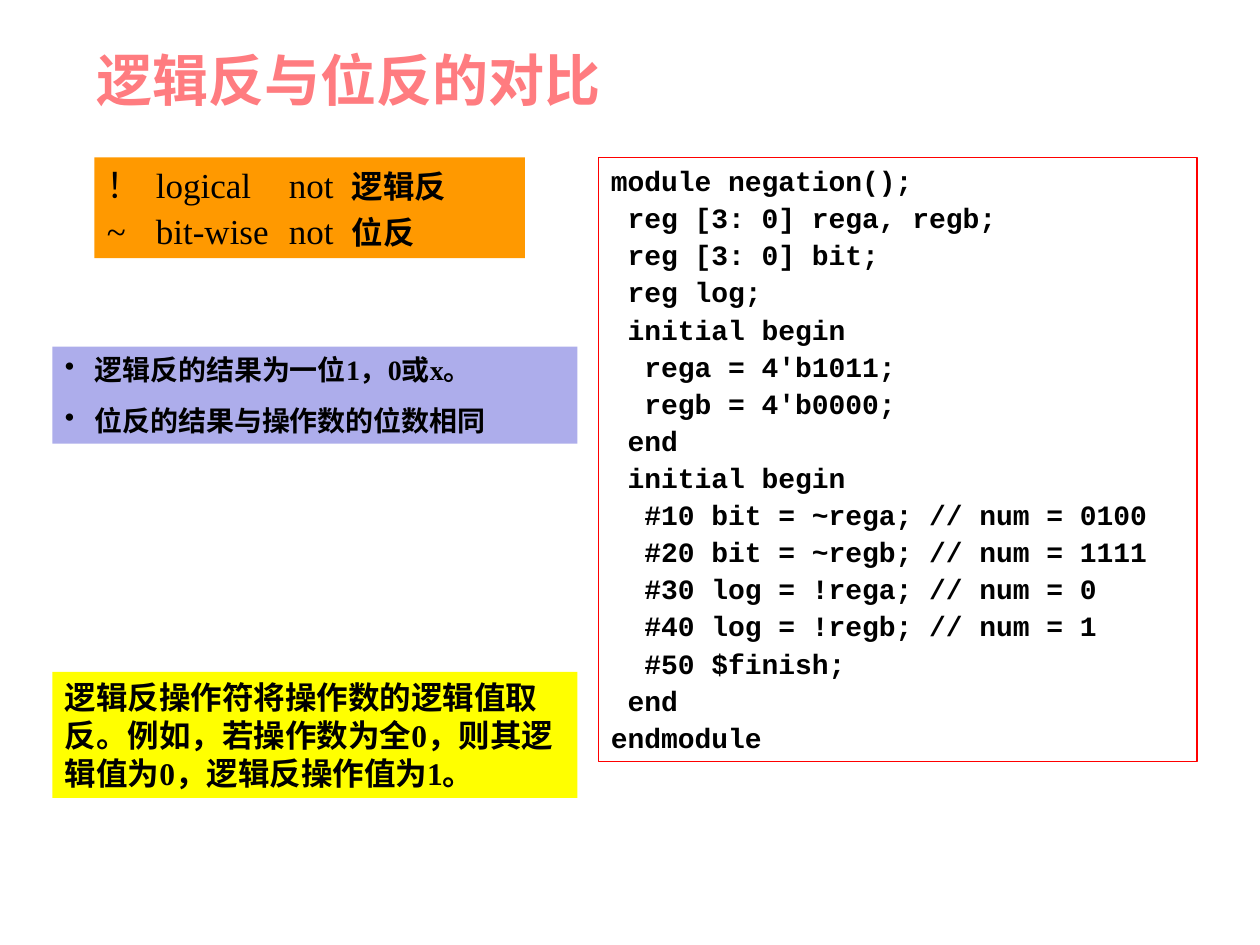
import pptx
import pptx.util
import pptx.dml.color
import pptx.enum.shapes
import pptx.enum.text
import lxml.etree

Pt = pptx.util.Pt
SERIF, MONO = "Times New Roman", "Courier New"
COLORS = {"title": "FF7C80", "text": "000000", "frame": "FF0000",
          "operators": "FF9900", "results": "ADADEB", "explanation": "FFFF00"}

TITLE = "逻辑反与位反的对比"
OPERATORS = [("！\tlogical\tnot\t", "逻辑反"), ("~\tbit-wise\tnot\t", "位反")]
RESULTS = ["逻辑反的结果为一位1，0或x。", "位反的结果与操作数的位数相同"]
EXPLANATION = ["逻辑反操作符将操作数的逻辑值取反。例如，若操作数为全0，"
               "则其逻辑值为0，逻辑反操作值为1。"]
CODE = """module negation();
 reg [3: 0] rega, regb;
 reg [3: 0] bit;
 reg log;
 initial begin
  rega = 4'b1011;
  regb = 4'b0000;
 end
 initial begin
  #10 bit = ~rega; // num = 0100
  #20 bit = ~regb; // num = 1111
  #30 log = !rega; // num = 0
  #40 log = !regb; // num = 1
  #50 $finish;
 end
endmodule""".split("\n")

OPERATOR_TABS = (28, 104, 140)
BULLET_INDENT = 17


def rgb(name):
    return pptx.dml.color.RGBColor.from_string(COLORS[name])


def add_child(parent, tag, **attributes):
    namespace = pptx.oxml.ns.nsdecls("a").split('"')[1]
    child = lxml.etree.SubElement(parent, f"{{{namespace}}}{tag}")
    for key, value in attributes.items():
        child.set(key, str(value))
    return child


def add_bullet(paragraph):
    properties = paragraph._p.get_or_add_pPr()
    properties.set("marL", str(Pt(BULLET_INDENT)))
    properties.set("indent", str(-Pt(BULLET_INDENT)))
    add_child(properties, "buChar", char="•")


def add_tabs(paragraph, stops):
    tab_list = add_child(paragraph._p.get_or_add_pPr(), "tabLst")
    for stop in stops:
        add_child(tab_list, "tab", pos=Pt(stop), algn="l")


def write(frame, lines, size=16, font=SERIF, color="text", gap=0, bullets=False, tabs=()):
    """Write bold lines; a (term, meaning) pair has a larger, regular term."""
    for index, line in enumerate(lines):
        paragraph = frame.paragraphs[0] if index == 0 else frame.add_paragraph()
        paragraph.alignment = pptx.enum.text.PP_ALIGN.LEFT
        paragraph.space_before = Pt(gap if index else 0)
        if bullets:
            add_bullet(paragraph)
        if tabs:
            add_tabs(paragraph, tabs)
        if isinstance(line, tuple):
            pieces = [(line[0], size + 2, False), (line[1], size, True)]
        else:
            pieces = [(line, size, True)]
        for text, points, bold in pieces:
            run = paragraph.add_run()
            run.text = text
            run.font.name = font
            run.font.size = Pt(points)
            run.font.bold = bold
            run.font.color.rgb = rgb(color)


def add_panel(slide, place, lines, fill=None, frame=None, **text_format):
    panel = slide.shapes.add_shape(pptx.enum.shapes.MSO_SHAPE.RECTANGLE, *map(Pt, place))
    panel.shadow.inherit = False
    if fill:
        panel.fill.solid()
        panel.fill.fore_color.rgb = rgb(fill)
    else:
        panel.fill.background()
    if frame:
        panel.line.color.rgb = rgb(frame)
        panel.line.width = Pt(0.75)
    else:
        panel.line.fill.background()
    panel.text_frame.word_wrap = True
    panel.text_frame.auto_size = pptx.enum.text.MSO_AUTO_SIZE.SHAPE_TO_FIT_TEXT
    panel.text_frame.vertical_anchor = pptx.enum.text.MSO_ANCHOR.TOP
    write(panel.text_frame, lines, **text_format)


def main():
    deck = pptx.Presentation()
    deck.slide_width, deck.slide_height = Pt(720), Pt(540)
    slide = deck.slides.add_slide(deck.slide_layouts[5])

    title = slide.shapes.title
    title.left, title.top, title.width, title.height = map(Pt, (48, 0, 624, 90))
    title.text_frame.vertical_anchor = pptx.enum.text.MSO_ANCHOR.MIDDLE
    write(title.text_frame, [TITLE], size=32, color="title")

    add_panel(slide, (342, 90, 342, 345), CODE, frame="frame", font=MONO, gap=2)
    add_panel(slide, (54, 90, 246, 57.6), OPERATORS, fill="operators",
              size=18, gap=2.2, tabs=OPERATOR_TABS)
    add_panel(slide, (30, 198, 300, 55.5), RESULTS, fill="results", gap=10, bullets=True)
    add_panel(slide, (30, 384, 300, 72), EXPLANATION, fill="explanation", size=18)

    deck.save("out.pptx")


if __name__ == "__main__":
    main()
